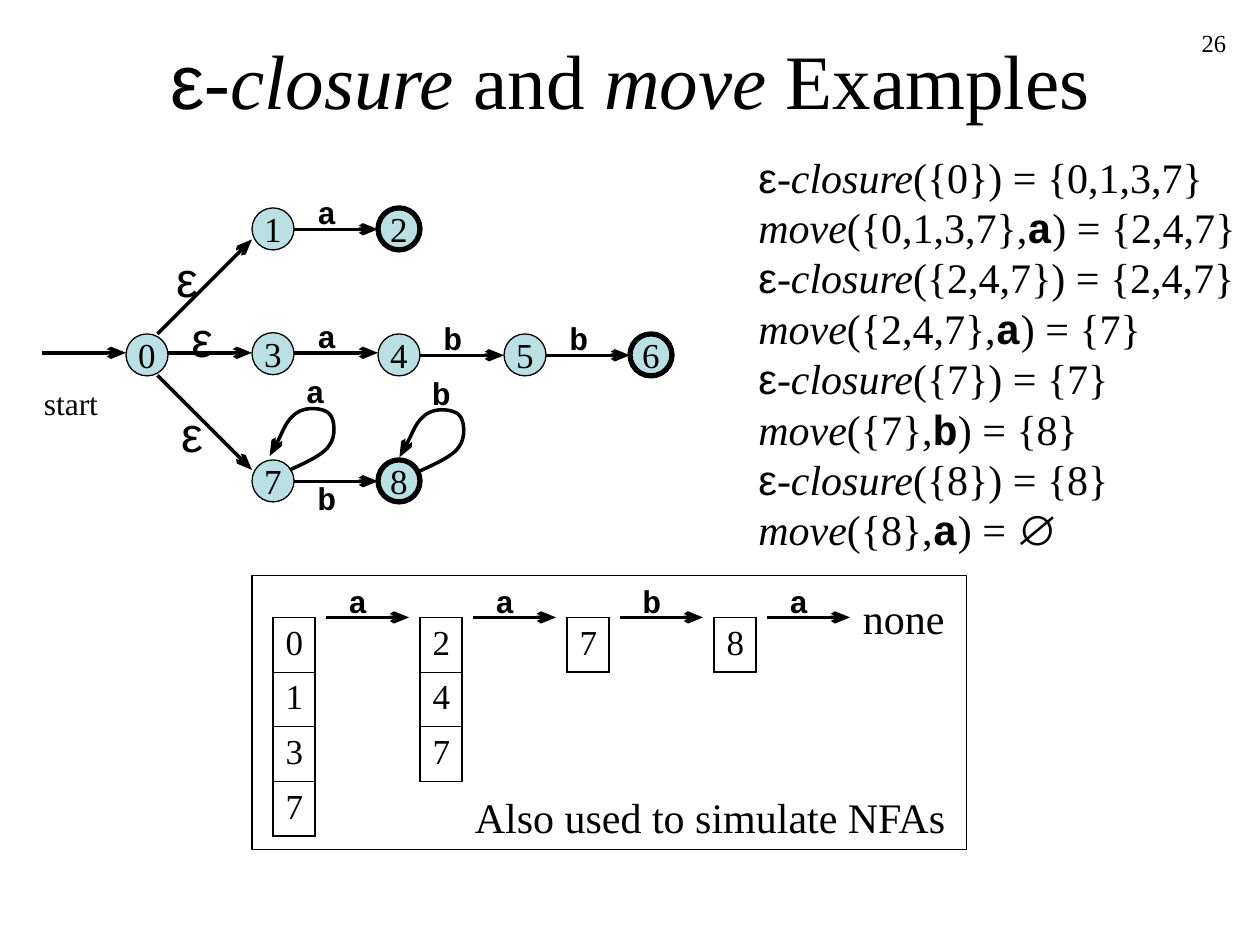
from typing import NamedTuple

from lxml.etree import SubElement
from pptx import Presentation
from pptx.dml.color import RGBColor
from pptx.enum.shapes import MSO_CONNECTOR as Link, MSO_SHAPE as Kind
from pptx.enum.text import MSO_ANCHOR as Anchor, MSO_AUTO_SIZE as Fit, PP_ALIGN as Align
from pptx.oxml.ns import qn
from pptx.util import Inches, Pt

INK = {"black": "000000", "node": "BBE0E3"}
SERIF, SANS, MONO = "Times New Roman", "Arial", "Courier New"
SIDE = 1 / 3            # width of a state and of a table cell
TOP = 0.65              # offset of the state grid; one inch a column and row
LEFT, STEP = 13 / 6, 7 / 6  # first state set and the pitch of the sets
BASE = 4.9              # top of the state sets


class Run(NamedTuple):
    text: str
    font: str = SERIF
    italic: bool = False
    bold: bool = False


class State(NamedTuple):
    name: str
    col: int
    row: float
    final: bool = False


class Edge(NamedTuple):
    start: tuple
    end: tuple


class Mark(NamedTuple):
    text: str
    x: float
    y: float


EPS = Run("ε", SANS)
CLOSE = [EPS, Run("-closure", italic=True)]
MOVE = Run("move", italic=True)

STATES = [
    State("0", 1, 2), State("1", 2, 1), State("2", 3, 1, True),
    State("3", 2, 1.99), State("4", 3, 2), State("5", 4, 2),
    State("6", 5, 2, True), State("7", 2, 3), State("8", 3, 3, True),
]
EDGES = [Edge((col + SIDE, y), (col + 1, y)) for col, y in [
    (0, 2.8), (1, 2.8), (2, 2.8), (3, 2.82), (4, 2.82), (2, 1.82), (2, 3.82)]]
EDGES += [Edge((1.25, 2.65), (2, 1.9)), Edge((1.25, 2.98), (2, 3.73))]
MARKS = [
    Mark("a", 2.42, 1.48), Mark("a", 2.42, 2.47), Mark("b", 3.42, 2.48),
    Mark("b", 4.42, 2.48), Mark("b", 2.42, 3.75), Mark("a", 2.33, 2.9),
    Mark("b", 3.33, 2.92),
]
EPS_MARKS = [Mark("ε", 1.34, 3.15), Mark("ε", 1.42, 2.4), Mark("ε", 1.3, 1.92)]
LOOP = [
    (2.3, 3.73), (2.36, 3.7), (2.56, 3.62), (2.61, 3.54), (2.67, 3.47),
    (2.66, 3.32), (2.61, 3.28), (2.57, 3.24), (2.43, 3.22), (2.35, 3.28),
    (2.27, 3.34), (2.19, 3.55), (2.14, 3.62),
]
SETS = ["0137", "247", "7", "8"]
INPUT = "aaba"
# Each closure, followed by the symbol and result of the move from it
STEPS = [
    ("{0}", "{0,1,3,7}", "a", "{2,4,7}"),
    ("{2,4,7}", "{2,4,7}", "a", "{7}"),
    ("{7}", "{7}", "b", "{8}"),
    ("{8}", "{8}", "a", "∅"),
]


def color(name: str) -> RGBColor:
    return RGBColor.from_string(INK[name])


def write(frame, text, *, size: float, font: str = SERIF, bold: bool = False,
          align=Align.LEFT, anchor=Anchor.TOP, wrap: bool = False, fit=Fit.NONE) -> None:
    """Fill a frame with a string, or with lines that are lists of runs."""
    lines = [[Run(text, font, bold=bold)]] if isinstance(text, str) else text
    frame.word_wrap, frame.auto_size, frame.vertical_anchor = wrap, fit, anchor
    para = frame.paragraphs[0]
    para.alignment = align
    for i, line in enumerate(lines):
        if i:
            para.add_line_break()
        for part in line:
            run = para.add_run()
            run.text = part.text
            run.font.name, run.font.size = part.font, Pt(size)
            run.font.italic, run.font.bold = part.italic, part.bold
            run.font.color.rgb = color("black")


def note(shapes, text, x: float, y: float, w: float, h: float, **style) -> None:
    box = shapes.add_textbox(*map(Inches, (x, y, w, h)))
    write(box.text_frame, text, **{"fit": Fit.SHAPE_TO_FIT_TEXT, **style})


def letter(shapes, mark: Mark) -> None:
    note(shapes, mark.text, mark.x, mark.y, 0.35, 0.4, size=18, font=MONO, bold=True)


def stroke(shape, width: float, arrow: bool = False) -> None:
    shape.line.color.rgb = color("black")
    shape.line.width = Pt(width)
    if arrow:
        SubElement(shape.line._get_or_add_ln(), qn("a:tailEnd"),
                   type="arrow", w="med", len="lg")


def draw_state(shapes, state: State) -> None:
    oval = shapes.add_shape(Kind.OVAL, Inches(state.col), Inches(state.row + TOP),
                            Inches(SIDE), Inches(SIDE))
    oval.shadow.inherit = False
    oval.fill.solid()
    oval.fill.fore_color.rgb = color("node")
    stroke(oval, 3 if state.final else 0.75)
    write(oval.text_frame, state.name, size=20, align=Align.CENTER, anchor=Anchor.MIDDLE)


def draw_edge(shapes, edge: Edge) -> None:
    line = shapes.add_connector(Link.STRAIGHT, *map(Inches, edge.start + edge.end))
    stroke(line, 2, arrow=True)
    SubElement(line.element.spPr, qn("a:effectLst"))


def draw_loop(shapes, dx: float, dy: float) -> None:
    """Draw a self-edge; each three points after the first make one Bézier."""
    first, *rest = [(Inches(x + dx), Inches(y + dy)) for x, y in LOOP]
    pen = shapes.build_freeform(*first)
    pen.add_line_segments(rest, close=False)
    loop = pen.convert_to_shape()
    loop.shadow.inherit = False
    loop.fill.background()
    stroke(loop, 2, arrow=True)
    track = loop.element.xpath(".//a:path")[0]
    legs = track.findall(qn("a:lnTo"))
    for i in range(0, len(legs), 3):
        curve = SubElement(track, qn("a:cubicBezTo"))
        for leg in legs[i:i + 3]:
            curve.append(leg[0])
            track.remove(leg)


def edge_cell(cell, first: bool, last: bool) -> None:
    """Give a cell thick outer borders and thin inner ones."""
    props = cell._tc.get_or_add_tcPr()
    for side, outer in {"L": True, "R": True, "T": first, "B": last}.items():
        line = SubElement(props, qn(f"a:ln{side}"), w=str(Pt(1.08 if outer else 0.45)))
        fill = SubElement(line, qn("a:solidFill"))
        SubElement(fill, qn("a:srgbClr"), val=INK["black"])
    cell.fill.background()


def draw_set(shapes, names: str, x: float) -> None:
    count, high = len(names), 0.43
    table = shapes.add_table(count, 1, *map(Inches, (x, BASE, SIDE, high * count))).table
    table.first_row = table.horz_banding = False
    for i, name in enumerate(names):
        cell = table.cell(i, 0)
        edge_cell(cell, i == 0, i == count - 1)
        write(cell.text_frame, name, size=20, wrap=True)


def sums() -> list:
    lines = []
    for start, closed, sign, moved in STEPS:
        end = [Run(") = "), Run(moved, SANS)] if moved == "∅" else [Run(f") = {moved}")]
        lines += [
            [*CLOSE, Run(f"({start}) = {closed}")],
            [MOVE, Run(f"({closed},"), Run(sign, MONO, bold=True), *end],
        ]
    return lines


def main() -> None:
    deck = Presentation()
    deck.slide_width, deck.slide_height = Inches(10), Inches(7.5)
    slide = deck.slides.add_slide(deck.slide_layouts[5])
    shapes = slide.shapes

    title = shapes.title
    title.left, title.top, title.width, title.height = map(Inches, (0.75, 0, 8.5, 1.25))
    write(title.text_frame, [[*CLOSE, Run(" and "), MOVE, Run(" Examples")]],
          size=44, align=Align.CENTER, anchor=Anchor.MIDDLE, wrap=True)
    note(shapes, "26", 7.75, 0.17, 2.08, 0.5, size=14, align=Align.RIGHT,
         wrap=True, fit=Fit.NONE)

    for state in STATES:
        draw_state(shapes, state)
    for edge in EDGES:
        draw_edge(shapes, edge)
    for shift in [(0, 0), (1.03, 0.01)]:
        draw_loop(shapes, *shift)
    for mark in MARKS:
        letter(shapes, mark)
    for mark in EPS_MARKS:
        note(shapes, mark.text, mark.x, mark.y, 0.37, 0.57, size=28, font=SANS)
    note(shapes, "start", 0.25, 3, 0.63, 0.4, size=18)
    note(shapes, sums(), 5.92, 1.15, 4.08, 3.3, size=24, wrap=True, fit=Fit.NONE)

    for i, (names, sign) in enumerate(zip(SETS, INPUT)):
        x = LEFT + i * STEP
        draw_set(shapes, names, x)
        letter(shapes, Mark(sign, x + 0.5, 4.57))
        draw_edge(shapes, Edge((x + 0.42, BASE), (x + 1.08, BASE)))
    note(shapes, "none", 6.75, 4.65, 0.85, 0.5, size=24)
    note(shapes, "Also used to simulate NFAs", 3.67, 6.23, 3.96, 0.5, size=24)

    frame = shapes.add_shape(Kind.RECTANGLE, *map(Inches, (2, 4.57, 5.67, 2.17)))
    frame.shadow.inherit = False
    frame.fill.background()
    stroke(frame, 0.75)
    deck.save("out.pptx")


if __name__ == "__main__":
    main()
